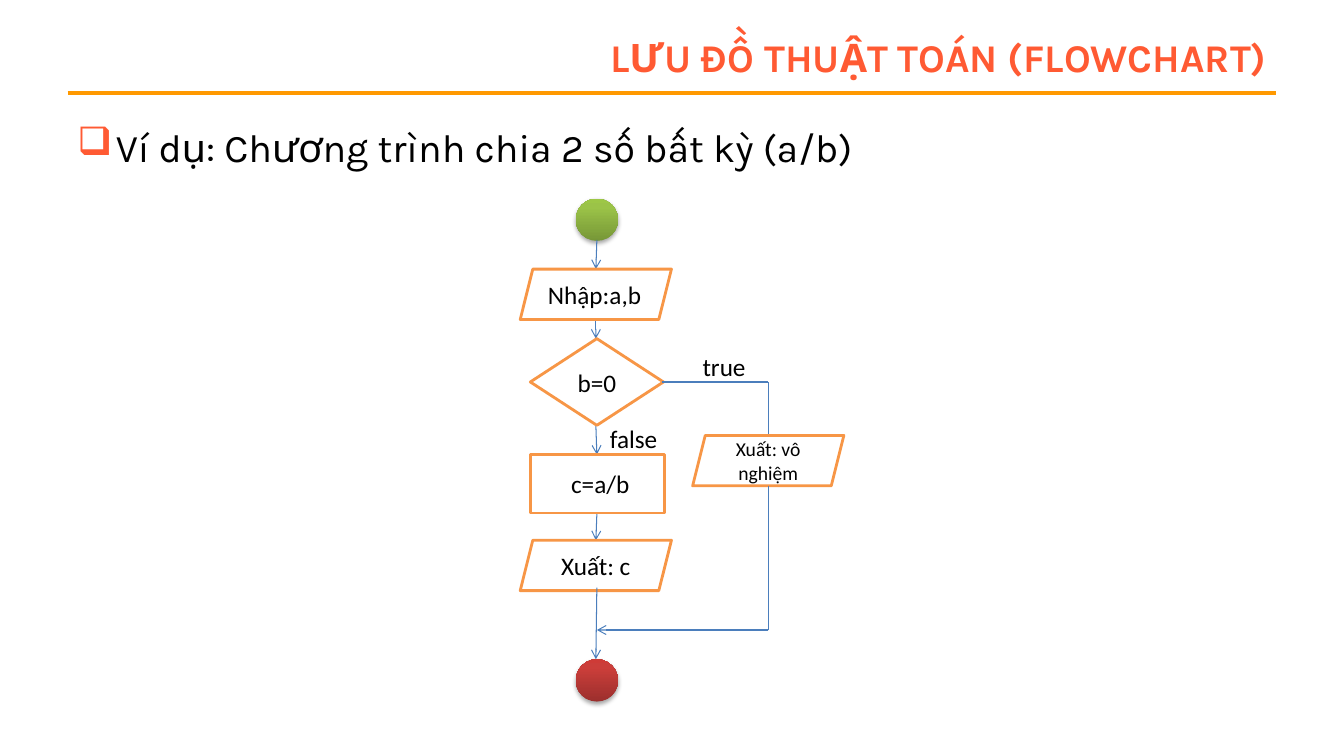
import pptx
import pptx.dml.color
import pptx.enum.shapes
import pptx.enum.text
import pptx.oxml
import pptx.oxml.ns
import pptx.util

EMU_PER_PX = 9144  # 100 px to the inch
SHAPES = pptx.enum.shapes.MSO_SHAPE
ALIGN = pptx.enum.text.PP_ALIGN
ANCHOR = pptx.enum.text.MSO_ANCHOR


class Theme:
    heading_font, label_font = "Karla", "Calibri"
    heading_size, label_size, small_size = 28, 18, 14
    accent, ink, paper = "FF5A33", "000000", "FFFFFF"
    rule, outline, arrow = "FF9900", "F79646", "4B7EBC"
    rule_width, outline_width, arrow_width = 3, 2, 0.75
    start_stops = ((0, "779737"), (80, "9BC348"), (100, "9DC746"))
    end_stops = ((0, "9C2F2D"), (80, "CB3E3A"), (100, "CE3B37"))


def px(*lengths):
    return [pptx.util.Emu(length * EMU_PER_PX) for length in lengths]


def rgb(code):
    return pptx.dml.color.RGBColor.from_string(code)


def xml(tag, attributes="", inner=""):
    names = pptx.oxml.ns.nsdecls("a")
    return pptx.oxml.parse_xml(f"<a:{tag} {names} {attributes}>{inner}</a:{tag}>")


def apply_format(target, formats):
    for name, value in formats.items():
        setattr(target, name, value)


def write(frame, words, size=Theme.label_size, font=Theme.label_font,
          color=Theme.ink, bold=False, align=ALIGN.CENTER,
          anchor=ANCHOR.MIDDLE, wrap=True):
    apply_format(frame, {"word_wrap": wrap, "vertical_anchor": anchor})
    para = frame.paragraphs[0]
    para.alignment = align
    span = para.add_run()
    span.text = words
    apply_format(span.font, {"name": font, "size": pptx.util.Pt(size), "bold": bold})
    span.font.color.rgb = rgb(color)
    return para


def add_text(page, box, words, **formats):
    text_box = page.shapes.add_textbox(*px(*box))
    return write(text_box.text_frame, words, **formats)


def add_bullet(para, mark, indent):
    para.space_before = pptx.util.Pt(5.6)
    properties = para._p.get_or_add_pPr()
    properties.set("marL", str(indent * EMU_PER_PX))
    properties.set("indent", str(-indent * EMU_PER_PX))
    properties.append(xml("buClr", inner=f'<a:srgbClr val="{Theme.accent}"/>'))
    properties.append(xml("buChar", f'char="{mark}"'))


def add_step(page, kind, box, words, **formats):
    step = page.shapes.add_shape(kind, *px(*box))
    step.shadow.inherit = False
    step.fill.solid()
    step.fill.fore_color.rgb = rgb(Theme.paper)
    step.line.color.rgb = rgb(Theme.outline)
    step.line.width = pptx.util.Pt(Theme.outline_width)
    write(step.text_frame, words, **formats)


def add_terminal(page, left, top, stops):
    ball = page.shapes.add_shape(SHAPES.OVAL, *px(left, top, 42, 42))
    ball.line.fill.background()
    ball.shadow.inherit = False
    properties = ball._element.spPr
    # Gradient from the bottom up
    stop_list = "".join(
        f'<a:gs pos="{place * 1000}"><a:srgbClr val="{color}"/></a:gs>'
        for place, color in stops)
    properties.insert(2, xml(
        "gradFill", 'rotWithShape="1"',
        f'<a:gsLst>{stop_list}</a:gsLst><a:lin ang="16200000" scaled="0"/>'))
    # Soft shadow below
    properties.find(pptx.oxml.ns.qn("a:effectLst")).append(xml(
        "outerShdw", 'blurRad="40000" dist="23000" dir="5400000" rotWithShape="0"',
        '<a:srgbClr val="000000"><a:alpha val="35000"/></a:srgbClr>'))


def add_line(page, ends, color=Theme.arrow, width=Theme.arrow_width, arrow=False):
    line = page.shapes.add_connector(
        pptx.enum.shapes.MSO_CONNECTOR.STRAIGHT, *px(*ends))
    line.line.color.rgb = rgb(color)
    line.line.width = pptx.util.Pt(width)
    if arrow:
        line.line._get_or_add_ln().append(xml("tailEnd", 'type="arrow"'))
    line._element.spPr.append(xml("effectLst"))


def add_heading(page):
    add_line(page, (67, 92, 1266, 92), Theme.rule, Theme.rule_width)
    heading = {"size": Theme.heading_size, "font": Theme.heading_font}
    add_text(page, (300, 30, 966, 53), "LƯU ĐỒ THUẬT TOÁN (FLOWCHART)",
             color=Theme.accent, bold=True, align=ALIGN.RIGHT, **heading)
    para = add_text(page, (67, 117, 1200, 575),
                    "Ví dụ: Chương trình chia 2 số bất kỳ (a/b)",
                    align=ALIGN.LEFT, anchor=ANCHOR.TOP, **heading)
    add_bullet(para, "❑", 38)


def add_flowchart(page):
    add_terminal(page, 571, 197, Theme.start_stops)
    add_terminal(page, 571, 654, Theme.end_stops)

    # Arrows that run into the steps
    for ends in ((592, 238, 591, 267), (591, 317, 591, 336),
                 (591, 422, 592, 451), (592, 510, 591, 536),
                 (762, 379, 762, 445)):
        add_line(page, ends, arrow=True)

    # Steps
    add_step(page, SHAPES.FLOWCHART_DECISION, (526, 336, 132, 86), "b=0")
    add_step(page, SHAPES.RECTANGLE, (526, 451, 133, 58), " c=a/b")
    for left, top, words, formats in (
            (516, 267, "Nhập:a,b", {"align": ALIGN.LEFT}),
            (516, 536, "Xuất: c", {}),
            (687, 432, "Xuất: vô nghiệm", {"size": Theme.small_size})):
        add_step(page, SHAPES.PARALLELOGRAM, (left, top, 150, 50), words, **formats)

    # Branch labels
    for box, words in (((687, 344, 63, 40), "true"), ((595, 415, 68, 40), "false")):
        add_text(page, box, words, align=ALIGN.LEFT, anchor=ANCHOR.TOP, wrap=False)

    # Branch to the right and its way back to the end
    add_line(page, (657, 379, 762, 379))
    add_line(page, (762, 625, 762, 482))
    add_line(page, (762, 625, 592, 625), arrow=True)
    add_line(page, (592, 583, 591, 654), arrow=True)


def main():
    deck = pptx.Presentation()
    width, height = px(1333, 750)
    apply_format(deck, {"slide_width": width, "slide_height": height})
    page = deck.slides.add_slide(deck.slide_layouts[6])
    add_heading(page)
    add_flowchart(page)
    deck.save("out.pptx")


if __name__ == "__main__":
    main()
